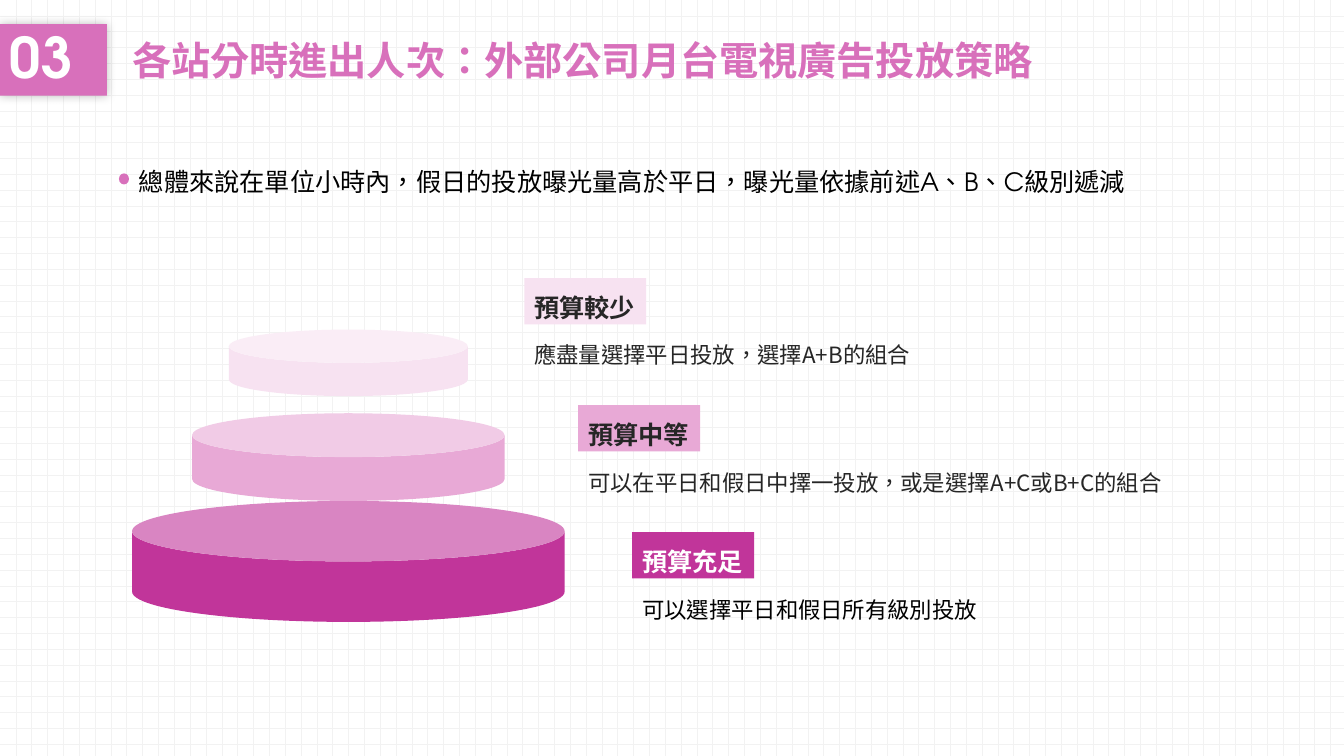
from dataclasses import dataclass

from lxml import etree
from pptx import Presentation
from pptx import util as u
from pptx.dml import color as col
from pptx.enum import dml, lang, shapes, text
from pptx.oxml import ns

Inch = u.Inches
Kind = shapes.MSO_SHAPE


@dataclass(frozen=True)
class Theme:
    pink: str = "D870BB"
    deep: str = "C1359A"
    mid: str = "E8A9D6"
    pale: str = "F7E2F1"
    ink: str = "262626"
    black: str = "000000"
    white: str = "FFFFFF"
    grid: str = "F2F2F2"
    main: str = "TeX Gyre Adventor"
    hans: str = "Noto Sans CJK SC"
    number: int = 40
    title: int = 28
    lead: int = 18
    body: int = 16


T = Theme()

# Label, advice, fill, label colour, advice colour, advice font
TIERS = [
    ("預算較少", "應盡量選擇平日投放，選擇A+B的組合", T.pale, T.ink, T.ink, T.hans),
    ("預算中等", "可以在平日和假日中擇一投放，或是選擇A+C或B+C的組合", T.mid, T.ink, T.ink, T.hans),
    ("預算充足", "可以選擇平日和假日所有級別投放", T.deep, T.white, T.black, T.main),
]
# Top, width and height of each disc within the stack
DISCS = [(0, 2.37, 0.66), (0.83, 3.1, 0.87), (1.7, 4.29, 1.2)]


def rgb(code):
    return col.RGBColor.from_string(code)


def box(*sides):
    return [Inch(side) for side in sides]


def write(shape, words, size, color, font=T.main, bold=False, space=None,
          anchor=text.MSO_ANCHOR.TOP, wrap=True):
    frame = shape.text_frame
    frame.word_wrap = wrap
    frame.vertical_anchor = anchor
    para = frame.paragraphs[0]
    para.alignment = text.PP_ALIGN.LEFT
    if space:
        para.line_spacing = space
    run = para.add_run()
    run.text = words
    face = run.font
    face.name, face.size, face.bold = font, u.Pt(size), bold
    face.color.rgb = rgb(color)
    face.language_id = lang.MSO_LANGUAGE_ID.TRADITIONAL_CHINESE


def solid(parts, kind, area, color):
    shape = parts.add_shape(kind, *box(*area))
    shape.shadow.inherit = False
    shape.fill.solid()
    shape.fill.fore_color.rgb = rgb(color)
    shape.line.fill.background()
    return shape


def glow(shape):
    """Put a soft shadow around a shape."""
    effects = shape.element.spPr.find(ns.qn("a:effectLst"))
    outer = etree.SubElement(effects, ns.qn("a:outerShdw"),
                             blurRad=str(u.Pt(7)), dist="0", algn="ctr")
    tint = etree.SubElement(outer, ns.qn("a:srgbClr"), val=T.black)
    etree.SubElement(tint, ns.qn("a:alpha"), val="25000")


def header(slide, x, y, wide, high):
    tab = solid(slide.shapes, Kind.RECTANGLE, (x, y, 1.06, high), T.pink)
    glow(tab)
    middle = text.MSO_ANCHOR.MIDDLE
    write(tab, "03", T.number, T.white, bold=True, space=0.9, anchor=middle)
    title = slide.shapes.title
    title.left, title.top, title.width, title.height = box(x + 1.21, y, wide - 1.21, high)
    write(title, "各站分時進出人次：外部公司月台電視廣告投放策略",
          T.title, T.pink, bold=True, anchor=middle)


def stack(slide, x, y, wide):
    group = slide.shapes.add_group_shape().shapes
    # The widest disc lies at the back
    for (top, span, high), tier in reversed(list(zip(DISCS, TIERS))):
        area = (x + (wide - span) / 2, y + top, span, high)
        can = solid(group, Kind.CAN, area, tier[2])
        can.adjustments[0] = 0.5


def advice(slide, x, y, wide):
    for row, (label, words, fill, ink, tone, font) in enumerate(TIERS):
        left, top = x + 0.535 * row, y + 1.26 * row
        group = slide.shapes.add_group_shape().shapes
        note = group.add_textbox(*box(left, top + 0.5, wide, 0.42))
        write(note, words, T.body, tone, font, space=1.3)
        tag = solid(group, Kind.RECTANGLE, (left, top, 1.21, 0.46), fill)
        write(tag, label, T.lead, ink, bold=True, space=1.3, wrap=False)


def lead(slide, x, y, wide, high):
    note = slide.shapes.add_textbox(*box(x + 0.1, y, wide - 0.1, high))
    write(note, "總體來說在單位小時內，假日的投放曝光量高於平日，曝光量依據前述A、B、C級別遞減",
          T.lead, T.black)
    solid(slide.shapes, Kind.OVAL, (x, y + 0.12, 0.1, 0.11), T.pink)


def main():
    deck = Presentation()
    deck.slide_width, deck.slide_height = box(13.33, 7.5)
    slide = deck.slides.add_slide(deck.slide_layouts[5])

    # Dotted grid behind everything
    fill = slide.background.fill
    fill.patterned()
    fill.pattern = dml.MSO_PATTERN.DOTTED_GRID
    fill.fore_color.rgb = rgb(T.grid)
    fill.back_color.rgb = rgb(T.white)

    header(slide, 0, 0.24, 10.38, 0.71)
    stack(slide, 1.31, 3.27, 4.29)
    advice(slide, 5.2, 2.76, 6.02)
    lead(slide, 1.18, 1.6, 10.34, 0.71)
    deck.save("out.pptx")


if __name__ == "__main__":
    main()
